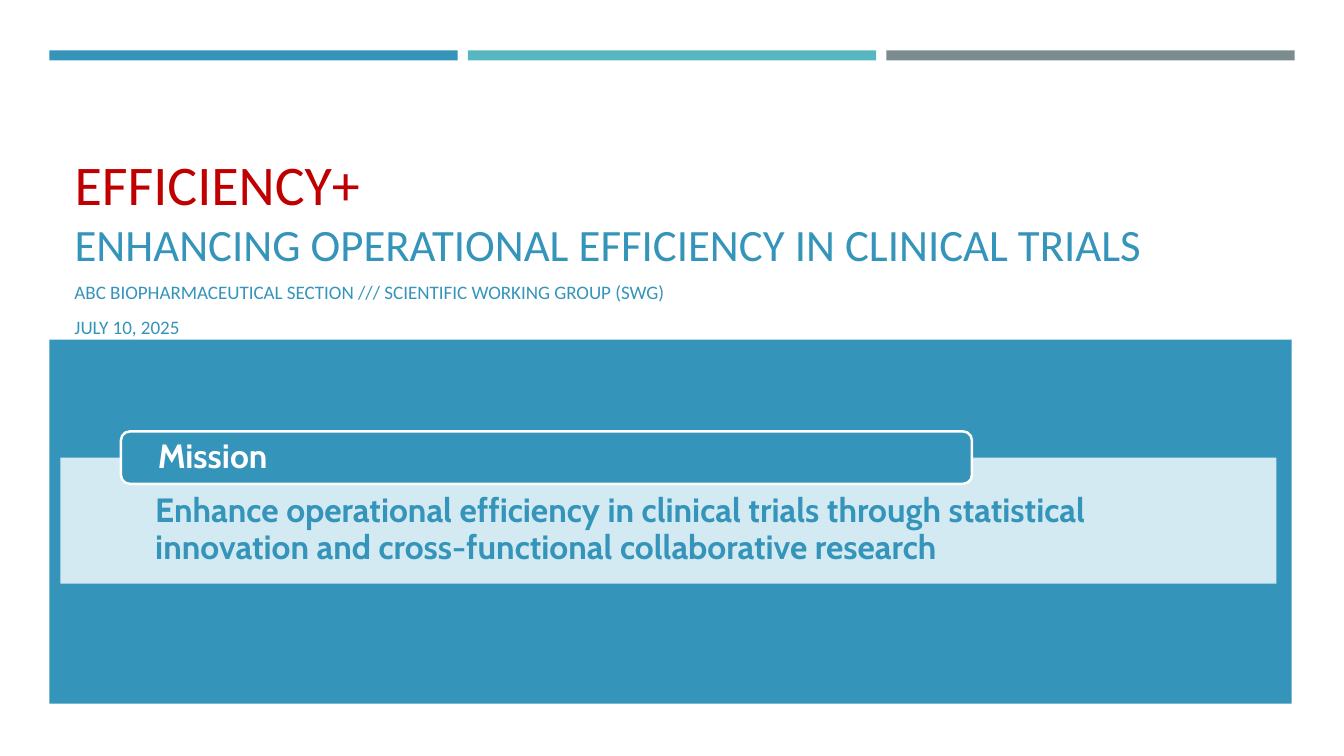
from pptx import Presentation
from pptx import util as u
from pptx.dml.color import RGBColor
from pptx.enum import shapes, text

BLUE, TEAL, GRAY = "3494BA", "58B6C0", "7A8C8E"
PALE, RED, WHITE = "D4EAF3", "C00000", "FFFFFF"
RECT = shapes.MSO_SHAPE.RECTANGLE
ROUND = shapes.MSO_SHAPE.ROUNDED_RECTANGLE
TOP, MIDDLE, BOTTOM = (text.MSO_ANCHOR.TOP, text.MSO_ANCHOR.MIDDLE,
                       text.MSO_ANCHOR.BOTTOM)


def color(code):
    return RGBColor.from_string(code)


def inches(box):
    return [u.Inches(n) for n in box]


def add_box(slide, box, fill, kind=RECT, edge=None):
    shape = slide.shapes.add_shape(kind, *inches(box))
    shape.shadow.inherit = False
    shape.fill.solid()
    shape.fill.fore_color.rgb = color(fill)
    if edge:
        shape.line.color.rgb = color(edge)
        shape.line.width = u.Pt(1.75)
    else:
        shape.line.fill.background()
    return shape


def set_frame(shape, anchor, insets=(0.1, 0.05, 0.1, 0.05)):
    frame = shape.text_frame
    frame.word_wrap = True
    frame.auto_size = text.MSO_AUTO_SIZE.NONE
    frame.vertical_anchor = anchor
    (frame.margin_left, frame.margin_top,
     frame.margin_right, frame.margin_bottom) = inches(insets)
    frame.paragraphs[0].alignment = text.PP_ALIGN.LEFT
    return frame


def add_run(para, words, size, ink, font="Calibri", bold=False):
    run = para.add_run()
    run.text = words
    run.font.size = u.Pt(size)
    run.font.name = font
    run.font.bold = bold
    run.font.color.rgb = color(ink)


def add_bars(slide, box, gap=0.1):
    # Three equal bars across the top
    left, top, width, height = box
    step = (width + gap) / 3
    for i, fill in enumerate((BLUE, TEAL, GRAY)):
        add_box(slide, (left + i * step, top, step - gap, height), fill)


def add_title(slide, box):
    title = slide.shapes.title
    title.left, title.top, title.width, title.height = inches(box)
    para = set_frame(title, BOTTOM).paragraphs[0]
    para.line_spacing = 1.0
    add_run(para, "EFFICIENCY+", 40, RED)
    para.add_line_break()
    add_run(para, "ENHANCING OPERATIONAL EFFICIENCY IN CLINICAL TRIALS",
            32, BLUE)


def add_details(slide, box):
    # Group name and date
    frame = set_frame(slide.shapes.add_textbox(*inches(box)), TOP)
    first, second = frame.paragraphs[0], frame.add_paragraph()
    first.space_after = u.Pt(8.7)
    add_run(first, "ABC BIOPHARMACEUTICAL SECTION /// "
            "SCIENTIFIC WORKING GROUP (SWG)", 13.6, BLUE)
    add_run(second, "JULY 10, 2025", 13.6, BLUE)


def add_mission(slide, box):
    # Blue panel with the mission card and its label
    left, top, width, height = box
    add_box(slide, box, BLUE)
    card = add_box(slide, (left + 0.11, top + 1.17, width - 0.26, 1.25), PALE)
    label = add_box(slide, (left + 0.71, top + 0.91, 8.44, 0.52), BLUE,
                    ROUND, WHITE)
    parts = (
        (card, TOP, (0.94, 0.36, 0.94, 0.12), BLUE,
         "Enhance operational efficiency in clinical trials through "
         "statistical innovation and cross-functional collaborative research"),
        (label, MIDDLE, (0.34, 0, 0.34, 0), WHITE, "Mission"),
    )
    for shape, anchor, insets, ink, words in parts:
        para = set_frame(shape, anchor, insets).paragraphs[0]
        para.line_spacing = 0.9
        add_run(para, words, 24, ink, "Cabin", True)


def main():
    deck = Presentation()
    deck.slide_width, deck.slide_height = inches((13.33, 7.5))
    slide = deck.slides.add_slide(deck.slide_layouts[5])
    add_bars(slide, (0.49, 0.5, 12.35, 0.1))
    add_title(slide, (0.64, 1.12, 12.02, 1.61))
    add_mission(slide, (0.49, 3.37, 12.32, 3.61))
    add_details(slide, (0.64, 2.73, 12.02, 0.65))
    deck.save("out.pptx")


if __name__ == "__main__":
    main()
